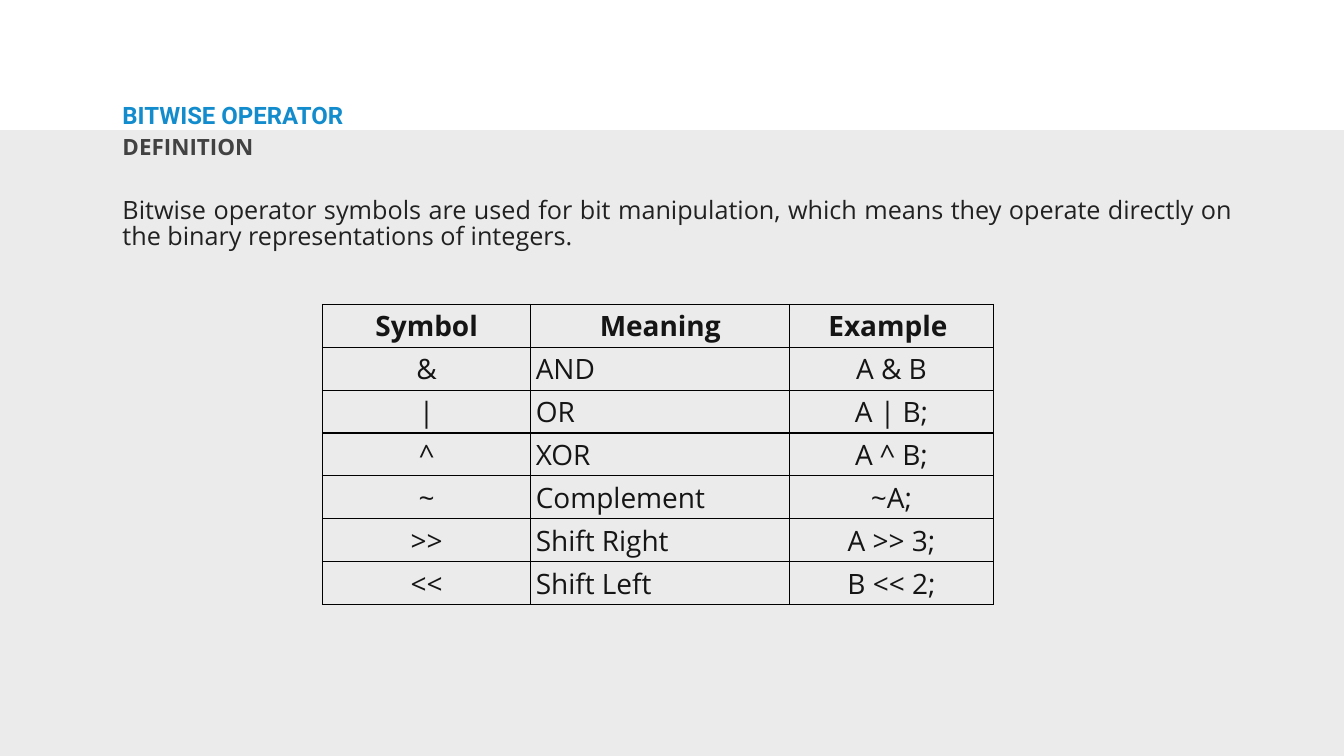
from pptx import Presentation
from pptx.dml.color import RGBColor
from pptx.enum.shapes import MSO_SHAPE
from pptx.enum.text import PP_ALIGN
from pptx.oxml import parse_xml
from pptx.oxml.ns import nsdecls
from pptx.util import Inches, Pt

RECTANGLE = MSO_SHAPE.RECTANGLE
LEFT, CENTER, JUSTIFY = PP_ALIGN.LEFT, PP_ALIGN.CENTER, PP_ALIGN.JUSTIFY

SLIDE_W, SLIDE_H = Inches(26.67), Inches(15)
BAND_GREY = RGBColor(0xEB, 0xEB, 0xEB)
TITLE_BLUE = RGBColor(0x12, 0x8C, 0xCD)
SUBTITLE_GREY = RGBColor(0x42, 0x42, 0x42)
BODY_GREY = RGBColor(0x21, 0x21, 0x21)
TABLE_TEXT = RGBColor(0x15, 0x15, 0x15)
BORDER = RGBColor(0, 0, 0)

MARGIN = 8.89
BAND_TOP = 17.2
COLUMNS = (15.49, 19.27, 15.15)
ROW_HEIGHT = 5.67
OPERATORS = (
    ("Symbol", "Meaning", "Example "),
    ("&", "AND", "A & B"),
    ("|", "OR", "A | B;"),
    ("^", "XOR", "A ^ B;"),
    ("~", "Complement", "~A;"),
    (">>", "Shift Right", "A >> 3;"),
    ("<<", "Shift Left", "B << 2;"),
)


def across(percent):
    """Return a share of the slide width."""
    return round(SLIDE_W * percent / 100)


def down(percent):
    """Return a share of the slide height."""
    return round(SLIDE_H * percent / 100)


def box(x, y, w, h):
    """Return left, top, width and height from shares of the slide."""
    return across(x), down(y), across(w), down(h)


def add_run(p, text, size, color, font="Open Sans", bold=False):
    """Add one formatted run to a paragraph."""
    r = p.add_run()
    r.text = text
    r.font.name, r.font.size, r.font.bold = font, Pt(size), bold
    r.font.color.rgb = color


def add_band(s):
    """Fill the lower part of the slide with grey."""
    sp = s.shapes.add_shape(RECTANGLE, *box(0, BAND_TOP, 100, 100 - BAND_TOP))
    sp.shadow.inherit = False
    sp.fill.solid()
    sp.fill.fore_color.rgb = BAND_GREY
    sp.line.fill.background()


def add_text(s, place, text, size, color, spacing, align=LEFT, **style):
    """Add a wrapped text box holding one paragraph."""
    tf = s.shapes.add_textbox(*box(*place)).text_frame
    tf.word_wrap = True
    tf.margin_left = tf.margin_right = Inches(0.06)
    tf.margin_top = tf.margin_bottom = Inches(0.06)
    p = tf.paragraphs[0]
    p.alignment, p.line_spacing = align, spacing
    add_run(p, text, size, color, **style)


def set_borders(cell, width):
    """Draw a solid line on all four sides of a cell."""
    tcPr = cell._tc.get_or_add_tcPr()
    for i, side in enumerate(("lnL", "lnR", "lnT", "lnB")):
        tcPr.insert(i, parse_xml(
            f'<a:{side} {nsdecls("a")} w="{Pt(width)}"><a:solidFill>'
            f'<a:srgbClr val="{BORDER}"/></a:solidFill></a:{side}>'))


def add_operator_table(s):
    """Add the bordered table of operators."""
    place = box(24, 40.27, sum(COLUMNS), ROW_HEIGHT * len(OPERATORS))
    table = s.shapes.add_table(len(OPERATORS), len(COLUMNS), *place).table
    table.horz_banding = False
    for column, width in zip(table.columns, COLUMNS):
        column.width = across(width)
    for i, row in enumerate(OPERATORS):
        table.rows[i].height = down(ROW_HEIGHT)
        for j, text in enumerate(row):
            cell = table.cell(i, j)
            cell.fill.background()
            set_borders(cell, 2)
            p = cell.text_frame.paragraphs[0]
            p.alignment = LEFT if i and j == 1 else CENTER
            add_run(p, text, 40, TABLE_TEXT, bold=i == 0)


def main():
    """Build the slide and save it."""
    prs = Presentation()
    prs.slide_width, prs.slide_height = SLIDE_W, SLIDE_H
    s = prs.slides.add_slide(prs.slide_layouts[6])
    add_band(s)
    add_text(s, (MARGIN, 13.67, 60.33, 3.73), "BITWISE OPERATOR",
             34.2, TITLE_BLUE, 0.8, font="Roboto", bold=True)
    add_text(s, (MARGIN, 17.67, 40.04, 5.87), "DEFINITION",
             32, SUBTITLE_GREY, 0.9, bold=True)
    add_text(s, (MARGIN, 25.8, 83.05, 12.67),
             "Bitwise operator symbols are used for bit manipulation, which means "
             "they operate directly on the binary representations of integers.",
             36, BODY_GREY, 0.88, JUSTIFY)
    add_operator_table(s)
    prs.save("out.pptx")


if __name__ == "__main__":
    main()
